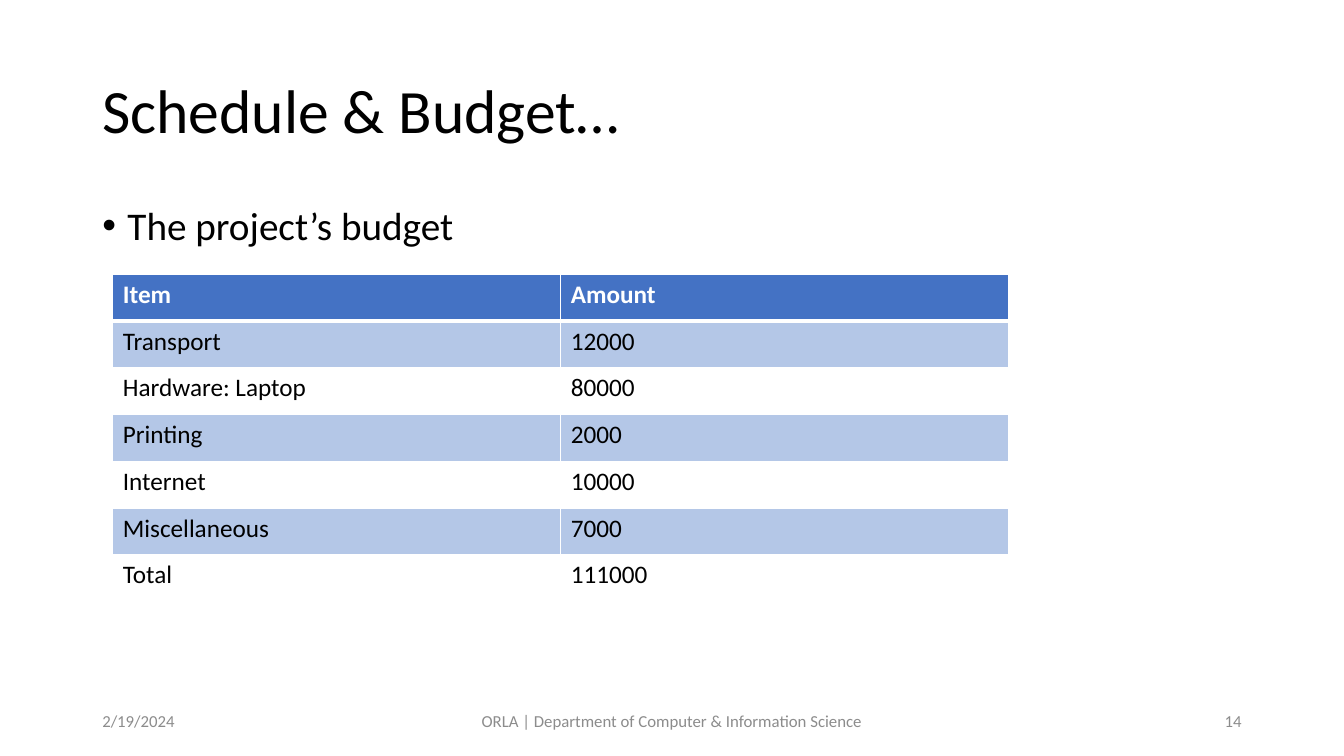
from pptx import Presentation
from pptx.util import Pt
from pptx.dml.color import RGBColor as RGB
from pptx.enum.text import PP_ALIGN as AL, MSO_ANCHOR as AN
from lxml.etree import SubElement as Sub
from pptx.oxml.ns import qn

FONT = "Calibri"
BLACK, WHITE, GREY = "000000", "FFFFFF", "8C8C8C"
HEAD, BAND = "4472C4", "B4C7E7"

TITLE = "Schedule & Budget…"
POINT = "The project’s budget"
FOOT = [
    ("2/19/2024", 66, 216, AL.LEFT),
    ("ORLA | Department of Computer & Information Science", 318, 324, AL.CENTER),
    ("14", 678, 216, AL.RIGHT),
]
BUDGET = [
    ("Item", "Amount"),
    ("Transport", "12000"),
    ("Hardware: Laptop", "80000"),
    ("Printing", "2000"),
    ("Internet", "10000"),
    ("Miscellaneous", "7000"),
    ("Total", "111000"),
]
LEFT, TOP, COL, ROW = 80.6, 196, 320, 33.4


def tint(color, code):
    color.rgb = RGB.from_string(code)


def write(para, text, size, code, bold=False):
    run = para.add_run()
    run.text = text
    run.font.name = FONT
    run.font.size = Pt(size)
    run.font.bold = bold
    tint(run.font.color, code)


def label(slide, box, text, size, code, anchor=AN.MIDDLE, align=AL.LEFT):
    frame = slide.shapes.add_textbox(*map(Pt, box)).text_frame
    frame.word_wrap = True
    frame.vertical_anchor = anchor
    para = frame.paragraphs[0]
    para.alignment = align
    write(para, text, size, code)
    return para


def bullet(para):
    props = para._p.get_or_add_pPr()
    props.set("marL", str(Pt(18)))
    props.set("indent", str(-Pt(18)))
    Sub(props, qn("a:buFont"), typeface="Arial")
    Sub(props, qn("a:buChar"), char="•")


def edge(cell, side, width):
    line = Sub(cell._tc.get_or_add_tcPr(), qn("a:ln" + side), w=str(Pt(width)))
    Sub(Sub(line, qn("a:solidFill")), qn("a:srgbClr"), val=WHITE)


def budget(slide):
    rows, cols = len(BUDGET), len(BUDGET[0])
    area = map(Pt, (LEFT, TOP, COL * cols, ROW * rows))
    table = slide.shapes.add_table(rows, cols, *area).table
    for col in table.columns:
        col.width = Pt(COL)
    for i, entry in enumerate(BUDGET):
        table.rows[i].height = Pt(ROW)
        top = i == 0
        back = HEAD if top else BAND if i % 2 else WHITE
        for j, text in enumerate(entry):
            cell = table.cell(i, j)
            for side in "LRTB":
                thick = (i, side) in ((0, "B"), (1, "T"))
                edge(cell, side, 3 if thick else 1)
            cell.fill.solid()
            tint(cell.fill.fore_color, back)
            para = cell.text_frame.paragraphs[0]
            write(para, text, 18, WHITE if top else BLACK, top)


def main():
    deck = Presentation()
    deck.slide_width, deck.slide_height = Pt(960), Pt(540)
    slide = deck.slides.add_slide(deck.slide_layouts[6])
    title = label(slide, (66, 28.75, 828, 104.4), TITLE, 44, BLACK)
    title.line_spacing = 0.9
    point = label(slide, (66, 143.75, 828, 342.6), POINT, 28, BLACK, AN.TOP)
    point.line_spacing = 0.9
    point.space_before = Pt(10)
    bullet(point)
    for text, left, width, align in FOOT:
        label(slide, (left, 500.5, width, 28.75), text, 12, GREY, align=align)
    budget(slide)
    deck.save("out.pptx")


if __name__ == "__main__":
    main()
